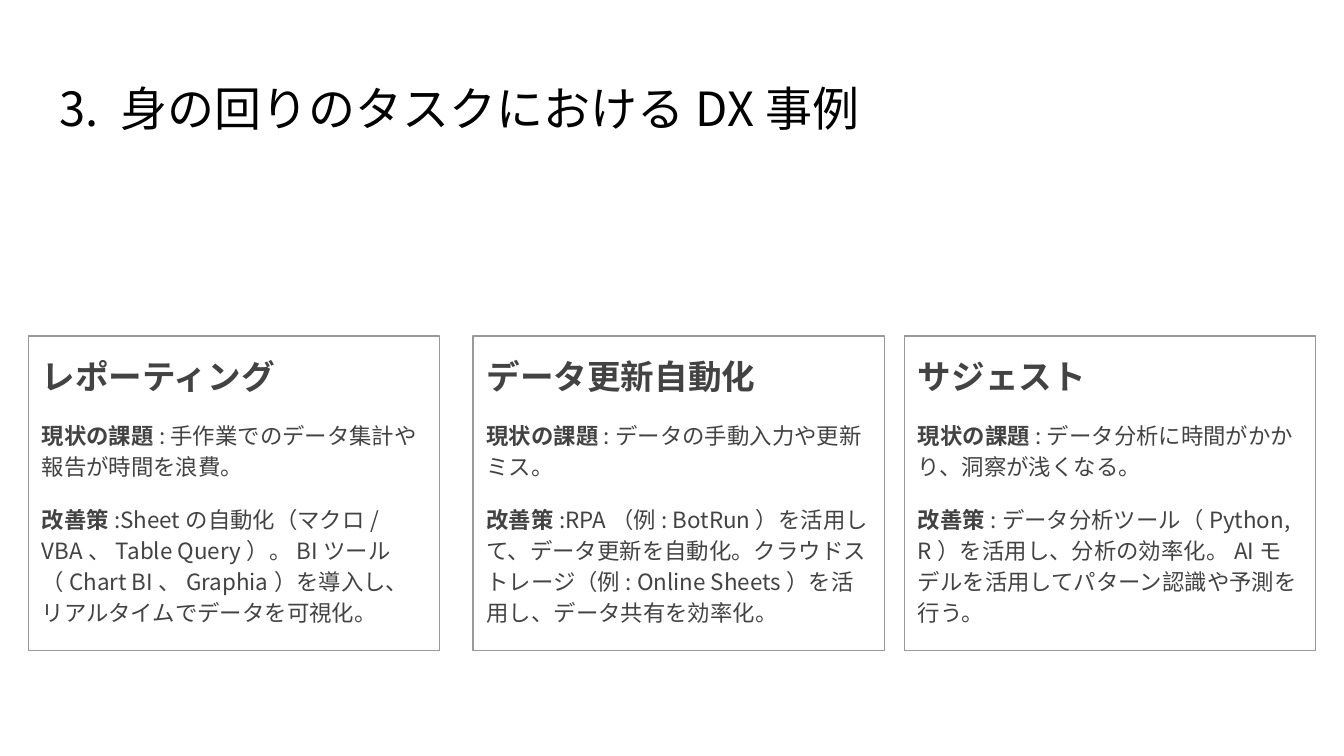
from pptx import Presentation, util as u
from pptx.dml.color import RGBColor
from pptx.enum import text as t
from pptx.oxml.ns import qn
from lxml import etree

# Content
HEAD = "3. 身の回りのタスクにおけるDX事例"
CARDS = [
    ("レポーティング",
     ":手作業でのデータ集計や報告が時間を浪費。",
     ":Sheetの自動化（マクロ/VBA、Table Query）。BIツール（Chart BI、Graphia）"
     "を導入し、リアルタイムでデータを可視化。"),
    ("データ更新自動化",
     ":データの手動入力や更新ミス。",
     ":RPA（例: BotRun）を活用して、データ更新を自動化。"
     "クラウドストレージ（例: Online Sheets）を活用し、データ共有を効率化。"),
    ("サジェスト",
     ":データ分析に時間がかかり、洞察が浅くなる。",
     ":データ分析ツール（Python, R）を活用し、分析の効率化。"
     "AIモデルを活用してパターン認識や予測を行う。"),
]
LABELS = ("現状の課題", "改善策")

# Style and grid
FONT = "Noto Sans CJK JP"
HUES = {"head": "000000", "body": "434343", "edge": "999999"}
WIDE = 10
HIGH = WIDE * 9 / 16
LEFTS = (0.21, 3.52, 6.73)
TOP, CARD_W, CARD_H = 2.5, 3.06, 2.34


def write(para, words, size=12, bold=False, hue="body"):
    run = para.add_run()
    run.text = words
    font = run.font
    font.name, font.size, font.bold = FONT, u.Pt(size), bold
    font.color.rgb = RGBColor.from_string(HUES[hue])
    etree.SubElement(run._r.get_or_add_rPr(), qn("a:ea"), typeface=FONT)


def place(box, left, top, width, height, fit, anchor):
    box.left, box.top = u.Inches(left), u.Inches(top)
    box.width, box.height = u.Inches(width), u.Inches(height)
    frame = box.text_frame
    frame.margin_left = frame.margin_right = u.Inches(0.1)
    frame.margin_top = frame.margin_bottom = u.Inches(0.1)
    frame.word_wrap = True
    frame.auto_size, frame.vertical_anchor = fit, anchor
    return frame


def fill(box, left, name, parts):
    frame = place(box, left, TOP, CARD_W, CARD_H,
                  t.MSO_AUTO_SIZE.TEXT_TO_FIT_SHAPE, t.MSO_ANCHOR.TOP)
    box.line.color.rgb = RGBColor.from_string(HUES["edge"])
    box.line.width = u.Pt(0.75)
    write(frame.paragraphs[0], name, size=18, bold=True)
    for label, words in zip(LABELS, parts):
        para = frame.add_paragraph()
        write(para, label, bold=True)
        write(para, words)
    for para in frame.paragraphs:
        para.alignment = t.PP_ALIGN.LEFT
        para.line_spacing = 1.15
        para.space_before, para.space_after = u.Pt(12), u.Pt(0)
        props = para._p.get_or_add_pPr()
        props.set("marL", "0")
        props.set("indent", "0")
        etree.SubElement(props, qn("a:buNone"))
    frame.paragraphs[-1].space_after = u.Pt(12)


deck = Presentation()
deck.slide_width, deck.slide_height = u.Inches(WIDE), u.Inches(HIGH)
slide = deck.slides.add_slide(deck.slide_layouts[4])
title, *bodies = slide.placeholders

# Title
frame = place(title, 0.34, 0.49, 9.32, 0.63,
              t.MSO_AUTO_SIZE.NONE, t.MSO_ANCHOR.MIDDLE)
frame.paragraphs[0].alignment = t.PP_ALIGN.LEFT
write(frame.paragraphs[0], HEAD, size=25.2, hue="head")

# Cards
for box, left, (name, *parts) in zip(bodies, LEFTS, CARDS):
    fill(box, left, name, parts)
for box in bodies[len(CARDS):]:
    box.element.getparent().remove(box.element)

deck.save("out.pptx")
